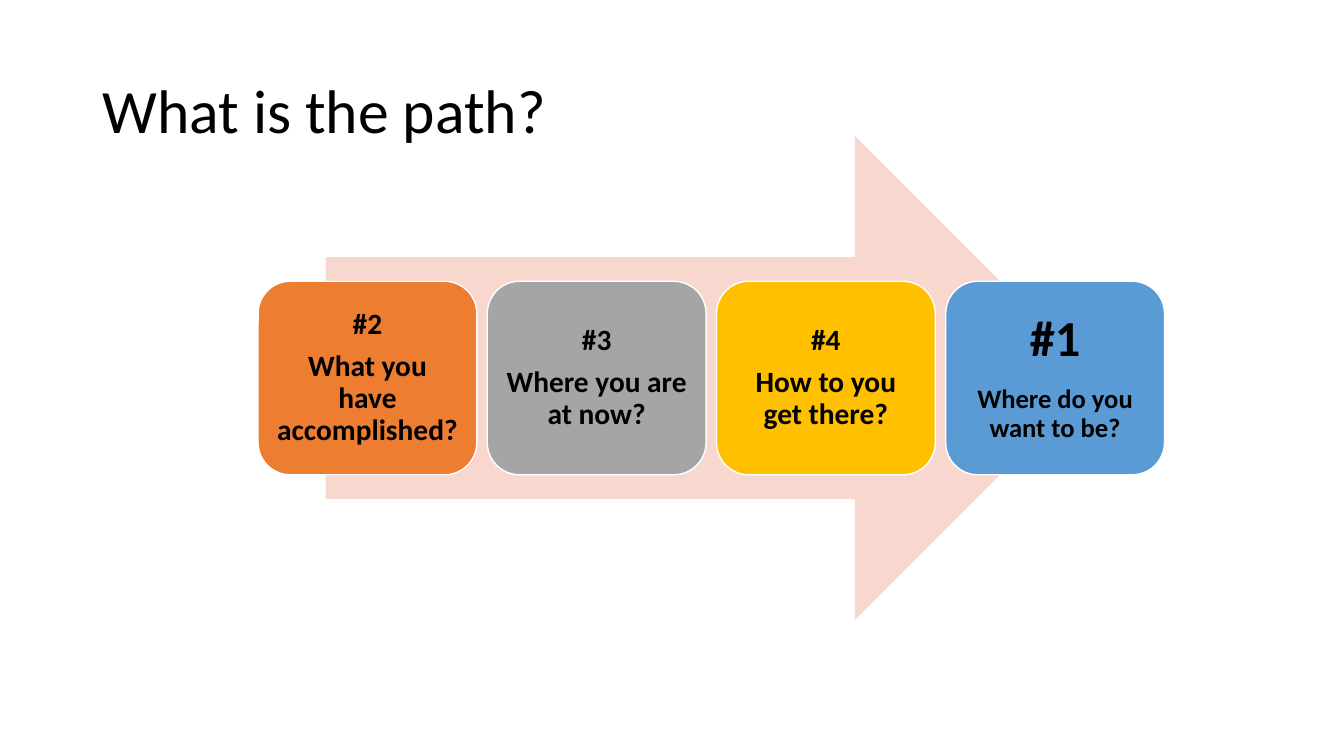
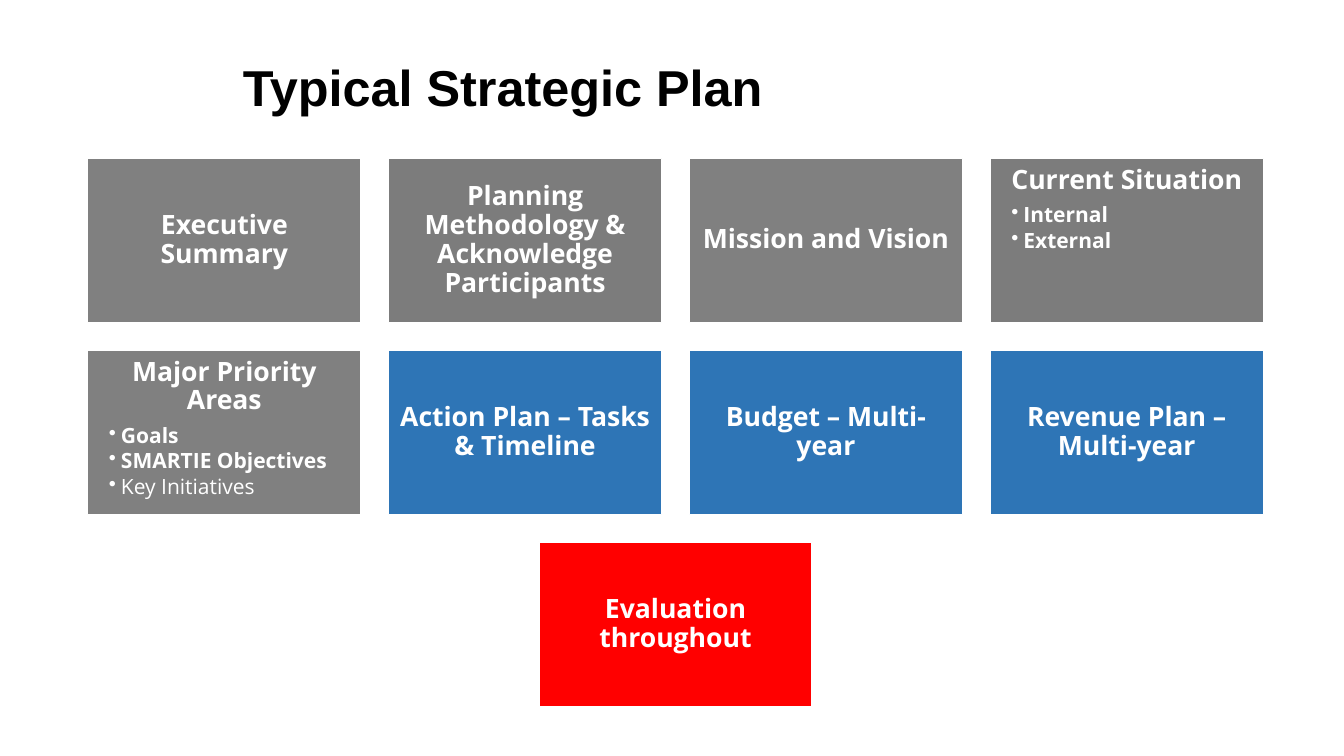
from lxml.etree import SubElement
from pptx import Presentation
from pptx.dml.color import RGBColor
from pptx.enum.shapes import MSO_SHAPE
from pptx.enum.text import MSO_ANCHOR, PP_ALIGN
from pptx.oxml.ns import qn
from pptx.util import Inches, Pt

BLACK, WHITE = "000000", "FFFFFF"
GRAY, DARK_GRAY, BLUE, RED = "808080", "7C7C7C", "2E75B6", "FF0000"
ARROW_PINK = "F8D7CE"

PATH_TITLE = "What is the path?"
PATH_STEPS = [
    ("#2", "What you have accomplished?", "ED7D31", 21, 21, 0.09),
    ("#3", "Where you are at now?", "A5A5A5", 21, 21, 0.09),
    ("#4", "How to you get there?", "FFC000", 21, 21, 0.09),
    ("#1", "Where do you want to be?", "5B9BD5", 36, 19, 0.15),
]

PLAN_TITLE = "Typical Strategic Plan"
PLAN_ROWS = [
    [
        ("Executive Summary", GRAY, []),
        ("Planning Methodology & Acknowledge Participants", DARK_GRAY, []),
        ("Mission and Vision", GRAY, []),
        ("Current Situation", DARK_GRAY, [("Internal", True), ("External", True)]),
    ],
    [
        ("Major Priority Areas", GRAY,
         [("Goals", True), ("SMARTIE Objectives", True), ("Key Initiatives", False)]),
        ("Action Plan – Tasks & Timeline", BLUE, []),
        ("Budget – Multi-year", BLUE, []),
        ("Revenue Plan – Multi-year", BLUE, []),
    ],
    [("Evaluation throughout", RED, [])],
]


def color(hex_value):
    """Turn a hex string into a colour."""
    return RGBColor.from_string(hex_value)


def set_values(target, values):
    """Set each attribute named in a dict."""
    for name, value in values.items():
        setattr(target, name, value)


def set_frame(frame, anchor, horizontal, vertical):
    """Set wrapping, anchor and margins of a text frame."""
    set_values(frame, {
        "word_wrap": True, "vertical_anchor": anchor,
        "margin_left": Inches(horizontal), "margin_right": Inches(horizontal),
        "margin_top": Inches(vertical), "margin_bottom": Inches(vertical),
    })


def add_bullet(paragraph):
    """Give a paragraph a hanging bullet."""
    properties = paragraph._p.get_or_add_pPr()
    properties.set("marL", str(Inches(0.25)))
    properties.set("indent", str(Inches(-0.12)))
    SubElement(properties, qn("a:buChar")).set("char", "•")


def write_lines(frame, lines, font_name, font_color):
    """Write (text, size, bold, bulleted) lines into a text frame."""
    for index, (text, size, bold, bulleted) in enumerate(lines):
        paragraph = frame.paragraphs[0] if index == 0 else frame.add_paragraph()
        if bulleted:
            add_bullet(paragraph)
        set_values(paragraph, {
            "alignment": PP_ALIGN.LEFT if bulleted else PP_ALIGN.CENTER,
            "line_spacing": 0.9, "space_before": Pt(0),
            "space_after": Pt(size * (0.15 if bulleted else 0.35)),
        })
        run = paragraph.add_run()
        run.text = text
        set_values(run.font, {"name": font_name, "size": Pt(size), "bold": bold})
        run.font.color.rgb = color(font_color)


def add_title(slide, text, box, font_name, size, bold):
    """Add a left-aligned slide title."""
    frame = slide.shapes.add_textbox(*map(Inches, box)).text_frame
    set_frame(frame, MSO_ANCHOR.MIDDLE, 0.1, 0.05)
    write_lines(frame, [(text, size, bold, False)], font_name, BLACK)
    set_values(frame.paragraphs[0], {"alignment": PP_ALIGN.LEFT, "space_after": Pt(0)})


def add_block(slide, kind, box, fill, outlined=True):
    """Add a filled shape, with a white outline if wanted."""
    shape = slide.shapes.add_shape(kind, *map(Inches, box))
    shape.shadow.inherit = False
    shape.fill.solid()
    shape.fill.fore_color.rgb = color(fill)
    if outlined:
        shape.line.color.rgb = color(WHITE)
        shape.line.width = Pt(1)
    else:
        shape.line.fill.background()
    return shape


def build_path_slide(slide):
    """Draw the steps along a wide arrow."""
    add_title(slide, PATH_TITLE, (0.92, 0.4, 11.5, 1.45), "Calibri", 44, False)
    add_block(slide, MSO_SHAPE.RIGHT_ARROW, (3.23, 1.35, 7.65, 4.8), ARROW_PINK, False)
    left, right, top, width, height = 2.56, 11.55, 2.79, 2.17, 1.92
    pitch = (right - left - width) / (len(PATH_STEPS) - 1)
    for index, (number, question, fill, number_size, size, margin) in enumerate(PATH_STEPS):
        box = (left + index * pitch, top, width, height)
        frame = add_block(slide, MSO_SHAPE.ROUNDED_RECTANGLE, box, fill).text_frame
        set_frame(frame, MSO_ANCHOR.MIDDLE, margin, margin)
        lines = [(number, number_size, True, False), (question, size, True, False)]
        write_lines(frame, lines, "Calibri", BLACK)


def build_plan_slide(slide):
    """Draw the plan sections as centred rows of boxes."""
    add_title(slide, PLAN_TITLE, (2.31, 0.41, 8.62, 0.97), "Arial", 36, True)
    left, right, top, width, height = 0.87, 12.53, 1.57, 2.71, 1.63
    pitch = (right - left - width) / (len(PLAN_ROWS[0]) - 1)
    row_pitch = height + pitch - width
    for row_index, row in enumerate(PLAN_ROWS):
        row_left = (left + right - width - (len(row) - 1) * pitch) / 2
        for index, (heading, fill, points) in enumerate(row):
            box = (row_left + index * pitch, top + row_index * row_pitch, width, height)
            frame = add_block(slide, MSO_SHAPE.RECTANGLE, box, fill).text_frame
            set_frame(frame, MSO_ANCHOR.TOP if points else MSO_ANCHOR.MIDDLE, 0.08, 0.08)
            lines = [(heading, 19, True, False)]
            lines += [(point, 15, bold, True) for point, bold in points]
            write_lines(frame, lines, "Open Sans", WHITE)


def main():
    """Build and save the presentation."""
    presentation = Presentation()
    set_values(presentation, {"slide_width": Inches(13.33), "slide_height": Inches(7.5)})
    for build in (build_path_slide, build_plan_slide):
        build(presentation.slides.add_slide(presentation.slide_layouts[6]))
    presentation.save("out.pptx")


if __name__ == "__main__":
    main()
